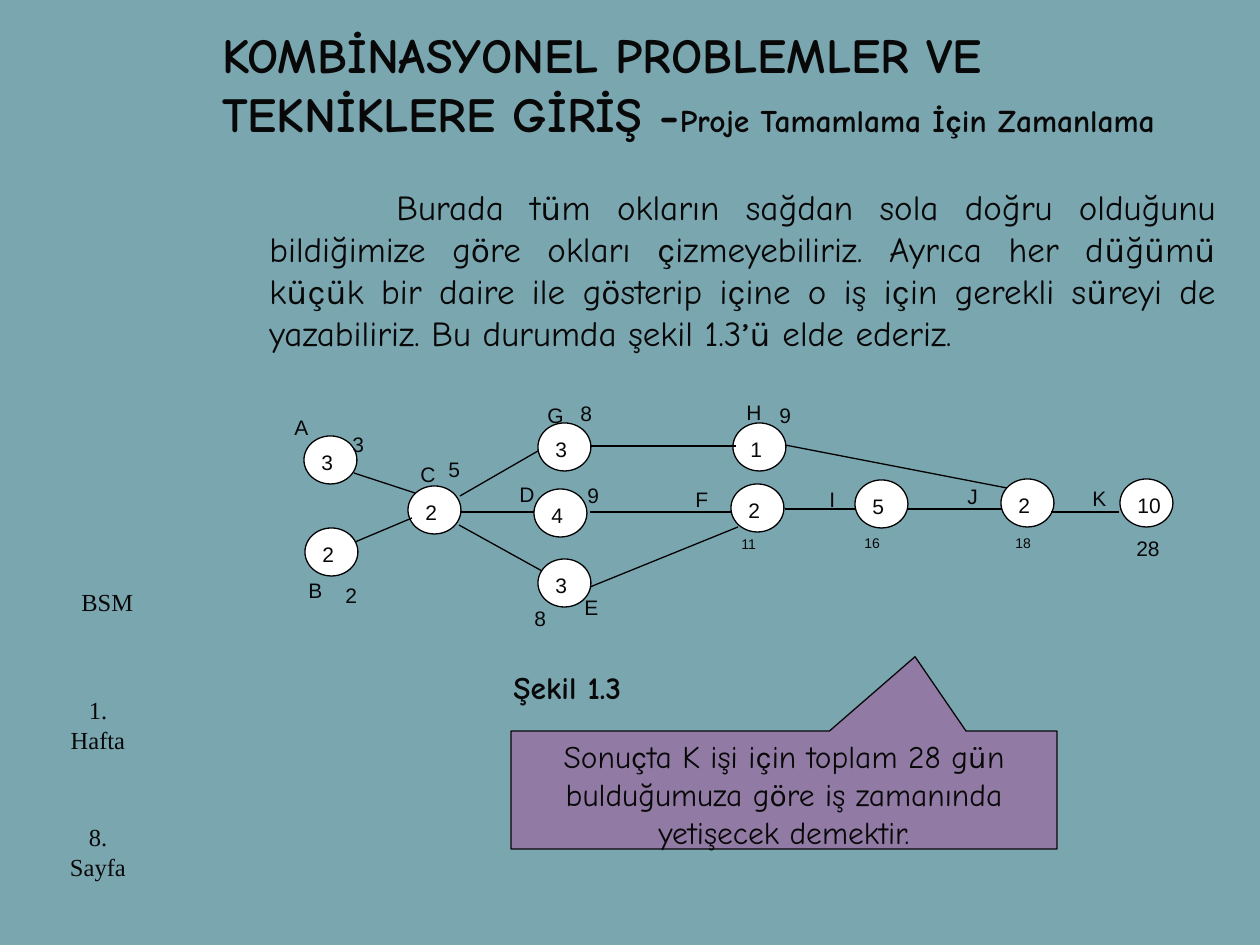
from itertools import groupby

from lxml import etree
from pptx import Presentation
from pptx import util as u
from pptx.dml.color import RGBColor
from pptx.enum import shapes, text
from pptx.oxml.ns import qn

INK, BLACK, WHITE, PURPLE, TEAL = "080808", "000000", "FFFFFF", "917AA4", "7AA6B0"
HEAD, ACCENTED, LABEL, SIDE = "Comic Neue", "Karla", "Arial", "Times New Roman"
LEFT, CENTER, JUSTIFY = text.PP_ALIGN.LEFT, text.PP_ALIGN.CENTER, text.PP_ALIGN.JUSTIFY
NODE_W, NODE_H = 53, 48

NODES = [
    ("3", 304, 436), ("2", 408, 486), ("2", 305, 528), ("3", 538, 423),
    ("4", 534, 489), ("3", 538, 559), ("1", 733, 423), ("2", 731, 484),
    ("5", 855, 480), ("2", 1001, 479), ("10", 1120, 479),
]
EDGES = [
    (354, 473, 415, 493), (355, 542, 412, 518), (460, 496, 538, 451),
    (461, 512, 534, 512), (459, 525, 542, 571), (591, 446, 736, 446),
    (590, 512, 732, 512), (785, 509, 855, 509), (908, 509, 1001, 509),
    (1051, 512, 1119, 512), (785, 445, 1007, 488), (590, 587, 738, 527),
]
TASKS = [
    ("A", 282, 408), ("B", 296, 571), ("C", 408, 455), ("D", 507, 475),
    ("F", 683, 480), ("I", 817, 480), ("J", 955, 477), ("K", 1080, 479),
    ("E", 572, 588), ("G", 535, 396), ("H", 734, 393),
]
FINISH_TIMES = [
    ("3", 340, 425), ("8", 568, 394), ("9", 767, 396), ("5", 436, 450),
    ("2", 333, 576), ("8", 522, 599), ("9", 575, 476), ("28", 1124, 529),
]
SMALL_TIMES = [("11", 729, 529), ("16", 852, 528), ("18", 1003, 528)]


def px(length):
    """Turn pixels into EMU."""
    return u.Emu(round(length * 914400 / 126))


def color(value):
    """Turn a hex string into a colour."""
    return RGBColor.from_string(value)


class SlideBuilder:
    """Hold the style and the current slide."""

    def __init__(self, slide, background):
        """Keep the slide and paint its background."""
        self.slide = slide
        slide.background.fill.solid()
        slide.background.fill.fore_color.rgb = color(background)

    def add_runs(self, paragraph, wording, size, font, bold=False):
        """Add runs, giving accented letters of the heading font their own font."""
        for accented, letters in groupby(wording, lambda c: font == HEAD and c in "çöü’"):
            run = paragraph.add_run()
            run.text = "".join(letters)
            run.font.size, run.font.bold = u.Pt(size), bold
            run.font.name = ACCENTED if accented else font
            run.font.color.rgb = color(INK)

    def text(self, box, lines, size, font, align=LEFT, bold=False, middle=False):
        """Add a text box with one paragraph per line."""
        frame = self.slide.shapes.add_textbox(*map(px, box)).text_frame
        frame.word_wrap = True
        frame.vertical_anchor = text.MSO_ANCHOR.MIDDLE if middle else text.MSO_ANCHOR.TOP
        for index, line in enumerate(lines):
            paragraph = frame.add_paragraph() if index else frame.paragraphs[0]
            paragraph.alignment = align
            self.add_runs(paragraph, line, size, font, bold)
        return frame.paragraphs[0]

    def shape(self, kind, box, fill, line):
        """Add a filled preset shape with a thin outline."""
        shape = self.slide.shapes.add_shape(kind, *map(px, box))
        shape.shadow.inherit = False
        shape.fill.solid()
        shape.fill.fore_color.rgb = color(fill)
        shape.line.color.rgb = color(line)
        shape.line.width = u.Pt(0.75)
        return shape

    def node(self, days, x, y):
        """Add a task circle with its duration."""
        self.shape(shapes.MSO_SHAPE.OVAL, (x, y, NODE_W, NODE_H), WHITE, BLACK)
        self.text((x + 5, y + 7, 69, 38), [days], 12, LABEL)

    def label(self, wording, x, y, size=12):
        """Add a task letter or a finish time."""
        self.text((x, y, 64 if len(wording) > 1 else 54, 43), [wording], size, LABEL)

    def edge(self, *ends):
        """Add a line between two tasks."""
        edge = self.slide.shapes.add_connector(shapes.MSO_CONNECTOR.STRAIGHT, *map(px, ends))
        edge.line.color.rgb = color(BLACK)
        edge.line.width = u.Pt(0.75)
        etree.SubElement(edge._element.spPr, qn("a:effectLst"))

    def callout(self, box, pointer, wording):
        """Add a callout with centred wording."""
        callout = self.shape(shapes.MSO_SHAPE.RECTANGULAR_CALLOUT, box, PURPLE, INK)
        for index, offset in enumerate(pointer):
            callout.adjustments[index] = offset
        frame = callout.text_frame
        frame.word_wrap = True
        frame.vertical_anchor = text.MSO_ANCHOR.TOP
        frame.paragraphs[0].alignment = CENTER
        self.add_runs(frame.paragraphs[0], wording, 18, HEAD)


def main():
    """Build and save the slide."""
    deck = Presentation()
    deck.slide_width, deck.slide_height = px(1260), px(945)
    page = SlideBuilder(deck.slides.add_slide(deck.slide_layouts[6]), TEAL)

    title = page.text((210, 10, 1017, 147), ["KOMBİNASYONEL PROBLEMLER VE TEKNİKLERE GİRİŞ -"],
                      28, HEAD, bold=True, middle=True)
    page.add_runs(title, "Proje Tamamlama İçin Zamanlama", 18, HEAD, bold=True)

    body = page.text((210, 179, 1018, 724), [
        "Burada tüm okların sağdan sola doğru olduğunu bildiğimize göre okları "
        "çizmeyebiliriz. Ayrıca her düğümü küçük bir daire ile gösterip içine o iş "
        "için gerekli süreyi de yazabiliriz. Bu durumda şekil 1.3’ü elde ederiz."
    ], 20, HEAD, JUSTIFY)
    indents = body._p.get_or_add_pPr()
    indents.set("marL", str(px(47)))
    indents.set("indent", str(px(127)))

    for node in NODES:
        page.node(*node)
    for edge in EDGES:
        page.edge(*edge)
    for label in TASKS + FINISH_TIMES:
        page.label(*label)
    for label in SMALL_TIMES:
        page.label(*label, size=8)

    page.text((501, 662, 227, 50), ["Şekil 1.3"], 18, HEAD, bold=True, middle=True)
    page.callout((511, 731, 546, 118), (0.24, -1.13),
                 "Sonuçta K işi için toplam 28 gün bulduğumuza göre iş zamanında yetişecek demektir.")

    page.text((49, 689, 98, 88), ["1. Hafta"], 14, SIDE, CENTER)
    page.text((49, 816, 98, 78), ["8.", "Sayfa"], 14, SIDE, CENTER)
    page.text((69, 581, 78, 43), ["BSM"], 14, SIDE)
    deck.save("out.pptx")


if __name__ == "__main__":
    main()
